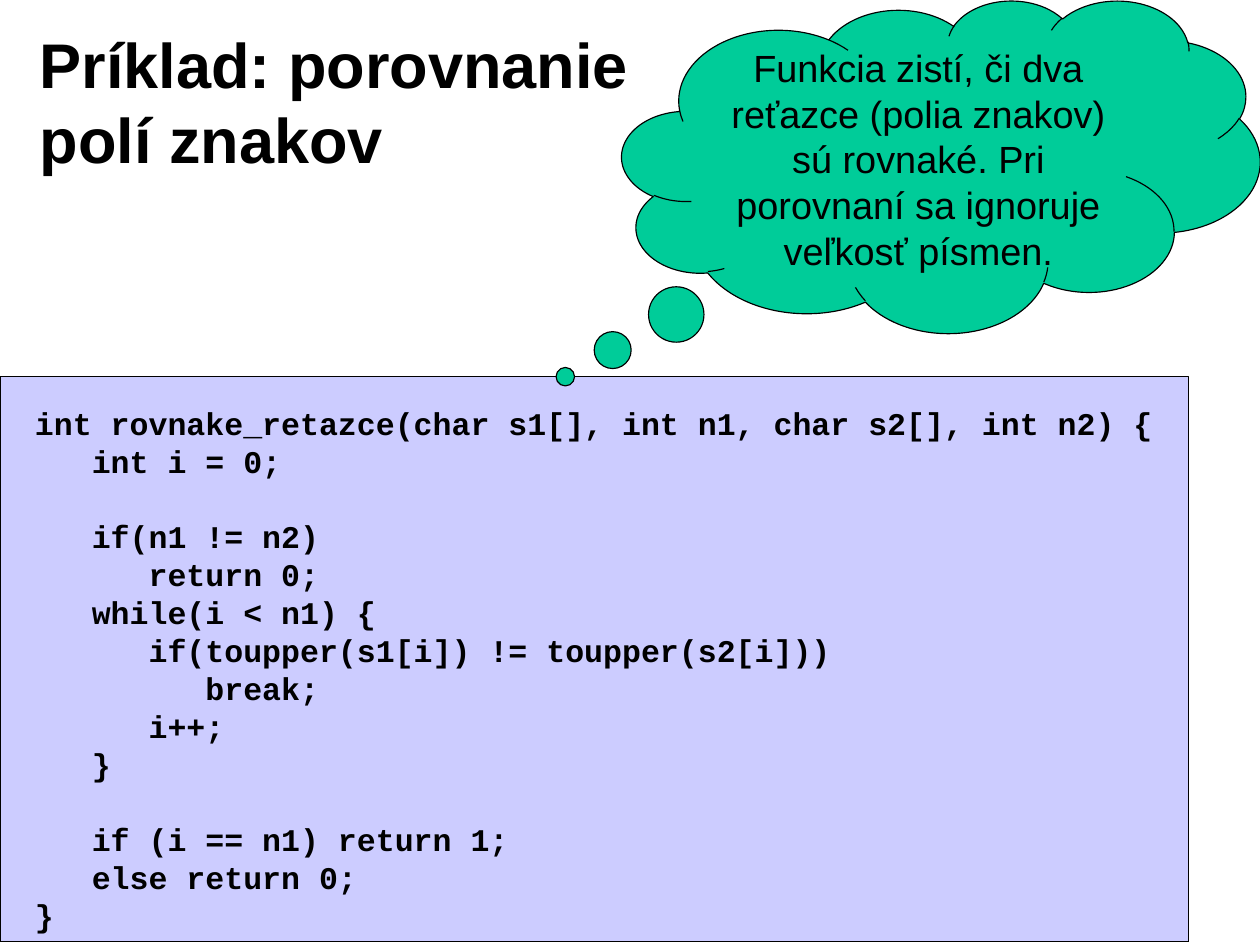
"""Build a slide on comparing two character arrays in C."""
from dataclasses import dataclass

from pptx import Presentation, util as u
from pptx.dml.color import RGBColor
from pptx.enum import shapes, text
from pptx.shapes.autoshape import Shape
from pptx.slide import Slide

HUES = {"ink": "000000", "code": "CCCCFF", "cloud": "00CC99"}
KIND = shapes.MSO_SHAPE
SIDE = text.PP_ALIGN
EDGE = text.MSO_ANCHOR

TITLE = ("Príklad: porovnanie", "polí znakov")
NOTE = ("Funkcia zistí, či dva reťazce (polia znakov) sú rovnaké. "
        "Pri porovnaní sa ignoruje veľkosť písmen.",)
CODE = """int rovnake_retazce(char s1[], int n1, char s2[], int n2) {
   int i = 0;

   if(n1 != n2)
      return 0;
   while(i < n1) {
      if(toupper(s1[i]) != toupper(s2[i]))
         break;
      i++;
   }

   if (i == n1) return 1;
   else return 0;
}""".split("\n")


@dataclass(frozen=True)
class Box:
    """Hold a place on the slide in inches."""
    left: float
    top: float
    width: float
    height: float

    def spans(self) -> tuple[u.Length, ...]:
        """Return the place as lengths."""
        return tuple(map(u.Inches, (self.left, self.top, self.width, self.height)))


@dataclass(frozen=True)
class Panel:
    """Describe a filled, outlined shape."""
    kind: KIND
    box: Box
    hue: str
    bends: tuple[float, ...] = ()


@dataclass(frozen=True)
class Style:
    """Describe how the text of a shape looks."""
    font: str
    size: int
    pitch: int
    bold: bool = True
    side: SIDE = SIDE.LEFT
    edge: EDGE = EDGE.TOP
    wrap: bool = True


BACK = Panel(KIND.RECTANGLE, Box(0, 3.32, 10.47, 4.98), "code")
CLOUD = Panel(KIND.CLOUD_CALLOUT, Box(5.48, 0, 5.62, 2.93), "cloud", (-0.589, 0.633))
HEAD = Style("Arial", 40, 48)
MONO = Style("Courier New", 20, 24, wrap=False)
TALK = Style("Arial", 24, 29, bold=False, side=SIDE.CENTER, edge=EDGE.MIDDLE)


def tint(name: str) -> RGBColor:
    """Return a named colour."""
    return RGBColor.from_string(HUES[name])


def draw(slide: Slide, panel: Panel) -> Shape:
    """Add a filled shape with a thin outline."""
    shape = slide.shapes.add_shape(panel.kind, *panel.box.spans())
    shape.shadow.inherit = False
    shape.fill.solid()
    shape.fill.fore_color.rgb = tint(panel.hue)
    shape.line.color.rgb = tint("ink")
    shape.line.width = u.Pt(0.75)
    for spot, bend in enumerate(panel.bends):
        shape.adjustments[spot] = bend
    return shape


def place(shape: Shape, box: Box) -> Shape:
    """Move and size a shape."""
    shape.left, shape.top, shape.width, shape.height = box.spans()
    return shape


def write(shape: Shape, lines: tuple[str, ...] | list[str], style: Style) -> None:
    """Write lines into a shape, turning empty lines into space before the next."""
    frame = shape.text_frame
    frame.auto_size = text.MSO_AUTO_SIZE.NONE
    frame.word_wrap = style.wrap
    frame.vertical_anchor = style.edge
    frame.margin_left = frame.margin_right = u.Inches(0.1)
    frame.margin_top = frame.margin_bottom = u.Inches(0.05)
    gap = 0
    for spot, line in enumerate(lines):
        if not line:
            gap += style.pitch
            continue
        para = frame.add_paragraph() if spot else frame.paragraphs[0]
        para.alignment = style.side
        para.line_spacing = u.Pt(style.pitch)
        para.space_before = u.Pt(gap)
        gap = 0
        run = para.add_run()
        run.text = line
        run.font.name = style.font
        run.font.size = u.Pt(style.size)
        run.font.bold = style.bold
        run.font.color.rgb = tint("ink")


def main() -> None:
    """Build and save the slide."""
    deck = Presentation()
    deck.slide_width, deck.slide_height = u.Inches(11.1), u.Inches(8.3)
    slide = deck.slides.add_slide(deck.slide_layouts[5])
    write(place(slide.shapes.title, Box(0.25, 0.17, 8.92, 1.65)), TITLE, HEAD)
    draw(slide, BACK)
    write(slide.shapes.add_textbox(*Box(0.21, 3.51, 10.05, 4.77).spans()), CODE, MONO)
    write(draw(slide, CLOUD), NOTE, TALK)
    deck.save("out.pptx")


if __name__ == "__main__":
    main()
